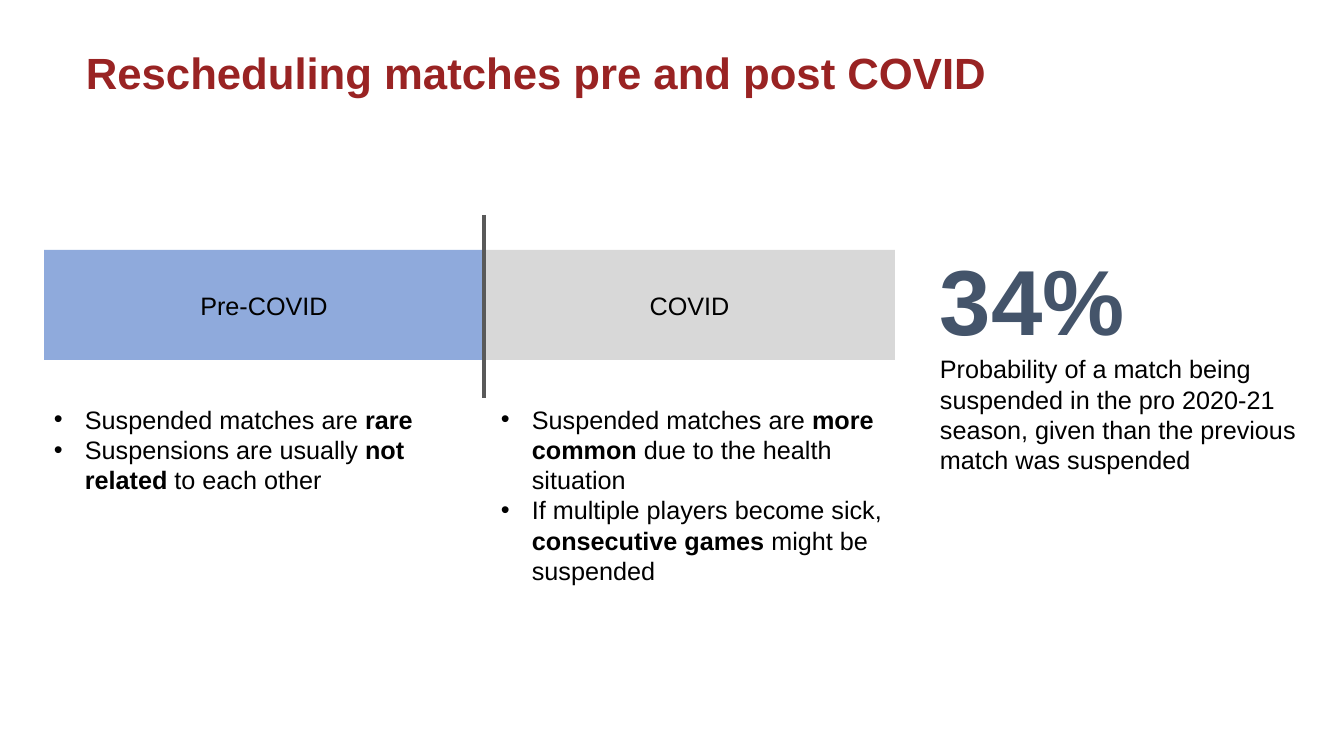
"""Builds a slide comparing match rescheduling before and during COVID."""
from lxml import etree
from pptx import Presentation
from pptx.dml.color import RGBColor
from pptx.enum.shapes import MSO_CONNECTOR, MSO_SHAPE
from pptx.enum.text import MSO_ANCHOR, MSO_AUTO_SIZE, PP_ALIGN
from pptx.oxml.ns import qn
from pptx.util import Pt

PX = 914400 / 100.8
RECT = MSO_SHAPE.RECTANGLE
STRAIGHT = MSO_CONNECTOR.STRAIGHT
MIDDLE = MSO_ANCHOR.MIDDLE
GROW = MSO_AUTO_SIZE.SHAPE_TO_FIT_TEXT
CENTER = PP_ALIGN.CENTER
COLORS = {"title": "992323", "pre": "8FAADC", "covid": "D8D8D8",
          "divider": "595959", "figure": "44546A", "text": "000000"}


def px(*values):
    return [round(v * PX) for v in values]


def add_run(p, text, size=18, color="text", bold=False):
    r = p.add_run()
    r.text = text
    r.font.name = "Arial"
    r.font.size = Pt(size)
    r.font.bold = bold
    r.font.color.rgb = RGBColor.from_string(COLORS[color])


prs = Presentation()
prs.slide_width, prs.slide_height = px(1344, 756)
s = prs.slides.add_slide(prs.slide_layouts[6])

title = s.shapes.add_textbox(*px(76, 49, 1063, 66))
tf = title.text_frame
tf.word_wrap = True
tf.vertical_anchor = MIDDLE
p = tf.paragraphs[0]
p.line_spacing = Pt(23.2)
add_run(p, "Rescheduling matches pre and post COVID", 31.2, "title", True)

for label, color, left, width in [("Pre-COVID", "pre", 44, 440),
                                  ("COVID", "covid", 484, 411)]:
    sp = s.shapes.add_shape(RECT, *px(left, 250, width, 110))
    sp.shadow.inherit = False
    sp.fill.solid()
    sp.fill.fore_color.rgb = RGBColor.from_string(COLORS[color])
    sp.line.fill.background()
    sp.text_frame.vertical_anchor = MIDDLE
    p = sp.text_frame.paragraphs[0]
    p.alignment = CENTER
    add_run(p, label)

divider = s.shapes.add_connector(STRAIGHT, *px(484, 215, 484, 398))
divider.line.color.rgb = RGBColor.from_string(COLORS["divider"])
divider.line.width = Pt(2.25)
etree.SubElement(divider._element.spPr, qn("a:effectLst"))

notes = [
    (44, 447, 102, [
        [("Suspended matches are ", False), ("rare", True)],
        [("Suspensions are usually ", False), ("not related", True),
         (" to each other", False)]]),
    (491, 411, 194, [
        [("Suspended matches are ", False), ("more common", True),
         (" due to the health situation", False)],
        [("If multiple players become sick, ", False),
         ("consecutive games ", True), ("might be suspended", False)]]),
]
indent = px(31)[0]
for left, width, height, bullets in notes:
    tf = s.shapes.add_textbox(*px(left, 399, width, height)).text_frame
    tf.word_wrap = True
    tf.auto_size = GROW
    for i, runs in enumerate(bullets):
        p = tf.add_paragraph() if i else tf.paragraphs[0]
        pPr = p._p.get_or_add_pPr()
        pPr.set("marL", str(indent))
        pPr.set("indent", str(-indent))
        etree.SubElement(pPr, qn("a:buFont"), typeface="Arial")
        etree.SubElement(pPr, qn("a:buChar"), char="•")
        for text, bold in runs:
            add_run(p, text, bold=bold)

tf = s.shapes.add_textbox(*px(930, 238, 405, 244)).text_frame
tf.word_wrap = True
tf.auto_size = GROW
add_run(tf.paragraphs[0], "34%", 66, "figure", True)
add_run(tf.add_paragraph(),
        "Probability of a match being suspended in the pro 2020-21 season, "
        "given than the previous match was suspended")

prs.save("out.pptx")
